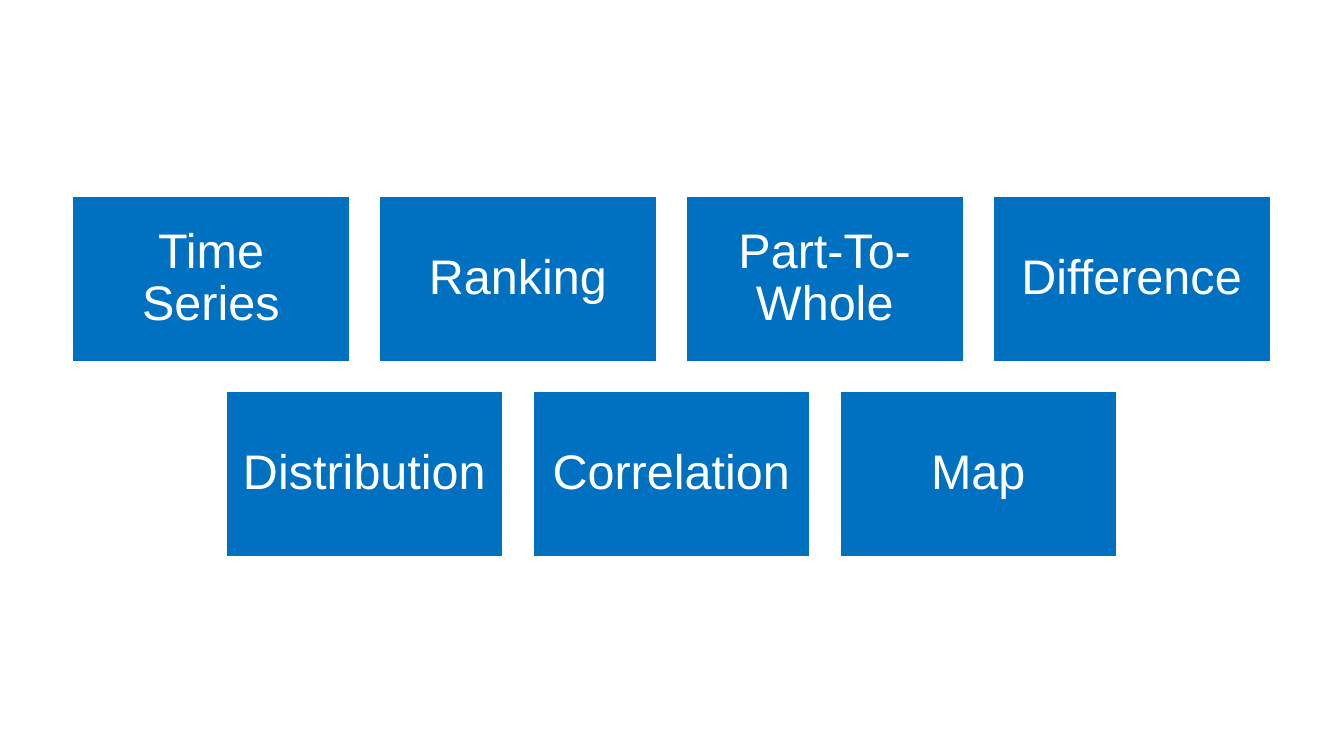
from dataclasses import dataclass

from pptx import Presentation
from pptx import util as u
from pptx.dml.color import RGBColor
from pptx.enum import shapes, text


@dataclass(frozen=True)
class Theme:
    font: str = "Arial"
    label_size: int = 26
    border_width: int = 2
    tile: RGBColor = RGBColor(0x00, 0x70, 0xC0)
    paper: RGBColor = RGBColor(0xFF, 0xFF, 0xFF)


# Lengths in centimetres
SLIDE_W, SLIDE_H = 25.4, 14.29
TILE_W, TILE_H, GAP = 5.28, 3.17, 0.52
CENTRE_X, TOP = 12.69, 3.69
INSET = 0.28

ROWS = [
    ["Time Series", "Ranking", "Part-To-Whole", "Difference"],
    ["Distribution", "Correlation", "Map"],
]


class Canvas:
    def __init__(self, slide, theme):
        self.slide = slide
        self.theme = theme

    def tile(self, label, left, top):
        sp = self.slide.shapes.add_shape(
            shapes.MSO_SHAPE.RECTANGLE,
            u.Cm(left), u.Cm(top), u.Cm(TILE_W), u.Cm(TILE_H))
        sp.shadow.inherit = False
        sp.fill.solid()
        sp.fill.fore_color.rgb = self.theme.tile
        sp.line.color.rgb = self.theme.paper
        sp.line.width = u.Pt(self.theme.border_width)

        tf = sp.text_frame
        tf.word_wrap = True
        tf.vertical_anchor = text.MSO_ANCHOR.MIDDLE
        tf.margin_left = tf.margin_right = u.Cm(INSET)
        tf.margin_top = tf.margin_bottom = u.Cm(INSET)
        p = tf.paragraphs[0]
        p.alignment = text.PP_ALIGN.CENTER
        p.line_spacing = 0.9
        r = p.add_run()
        r.text = label
        r.font.name = self.theme.font
        r.font.size = u.Pt(self.theme.label_size)
        r.font.color.rgb = self.theme.paper

    def centred_row(self, labels, top):
        row_width = len(labels) * (TILE_W + GAP) - GAP
        left = CENTRE_X - row_width / 2
        for i, label in enumerate(labels):
            self.tile(label, left + i * (TILE_W + GAP), top)


def main():
    prs = Presentation()
    prs.slide_width, prs.slide_height = u.Cm(SLIDE_W), u.Cm(SLIDE_H)
    s = prs.slides.add_slide(prs.slide_layouts[6])
    canvas = Canvas(s, Theme())
    for i, labels in enumerate(ROWS):
        canvas.centred_row(labels, TOP + i * (TILE_H + GAP))
    prs.save("out.pptx")


if __name__ == "__main__":
    main()
